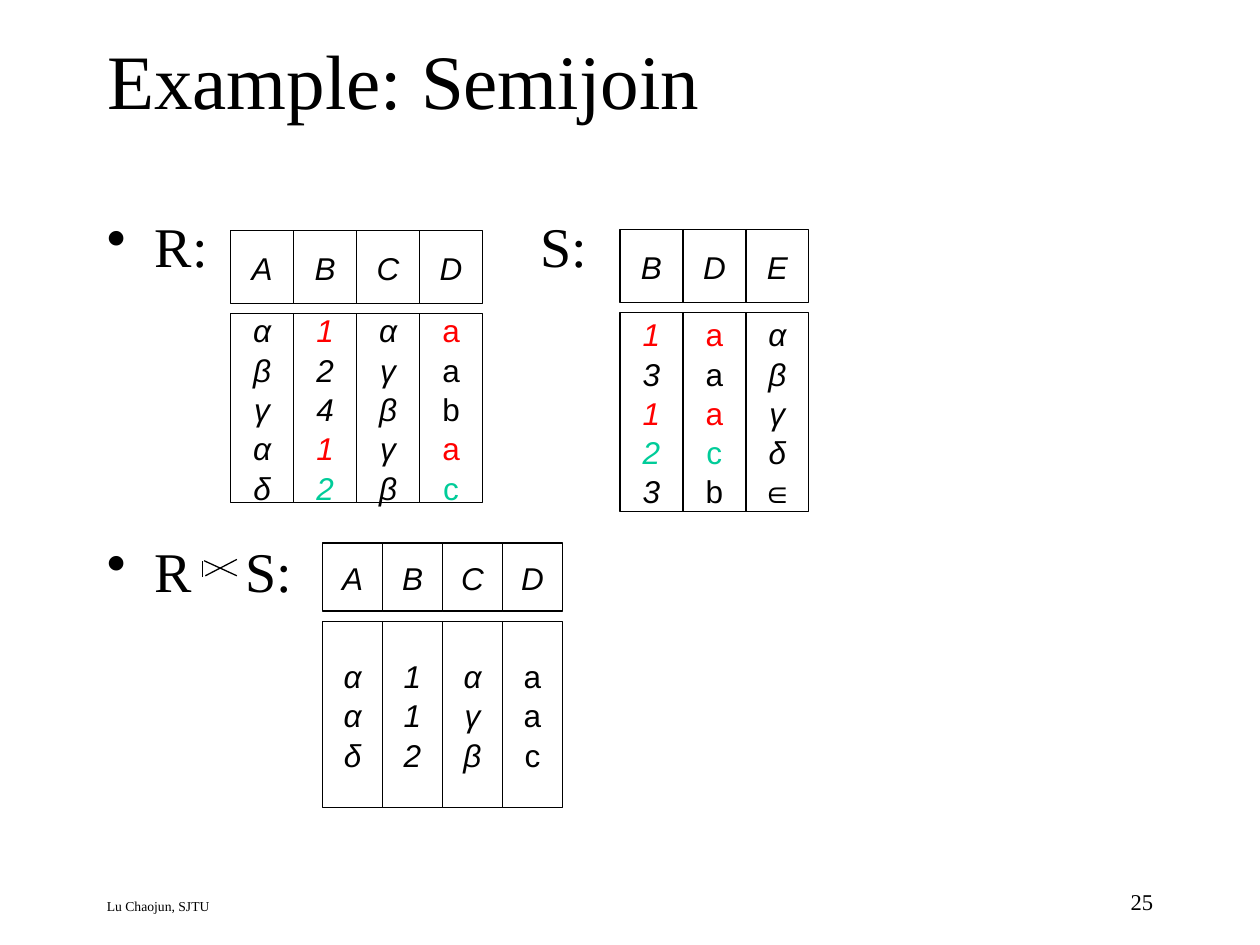
from lxml.etree import SubElement
from pptx import Presentation
from pptx.dml.color import RGBColor
from pptx.enum.shapes import MSO_CONNECTOR as Connector, MSO_SHAPE as Shape
from pptx.enum.text import MSO_ANCHOR as Anchor, MSO_AUTO_SIZE as AutoSize, PP_ALIGN as Align
from pptx.oxml.ns import qn
from pptx.util import Inches, Pt

BLACK = RGBColor(0x00, 0x00, 0x00)
WHITE = RGBColor(0xFF, 0xFF, 0xFF)
RED = RGBColor(0xFF, 0x00, 0x00)
GREEN = RGBColor(0x00, 0xCC, 0x99)
SERIF, SANS = "Times New Roman", "Arial"

TITLE = "Example: Semijoin"
LABELS = [
    ("R:", 0.75, 1.63, True),
    ("S:", 4.19, 1.63, False),
    ("R", 0.75, 4.21, True),
    ("S:", 1.85, 4.21, False),
]
FOOTERS = [
    ("Lu Chaojun, SJTU", (0.75, 7.08, 5.8, 0.25), 7.8, Align.LEFT),
    ("25", (7.17, 7.0, 2.08, 0.33), 12.9, Align.RIGHT),
]
JOIN_COLUMNS = "BD"
UPRIGHT_VALUES = "abc"
RELATIONS = [
    {"left": 1.83, "top": 1.83, "width": 0.5, "header": 0.58, "body": 1.5,
     "columns": {"A": "αβγαδ", "B": "12412", "C": "αγβγβ", "D": "aabac"},
     "matches": {0: RED, 3: RED, 4: GREEN}},
    {"left": 4.92, "top": 1.82, "width": 0.5, "header": 0.58, "body": 1.58,
     "columns": {"B": "13123", "D": "aaacb", "E": "αβγδ∈"},
     "matches": {0: RED, 2: RED, 3: GREEN}},
    {"left": 2.56, "top": 4.31, "width": 0.476, "header": 0.54, "body": 1.48,
     "columns": {"A": "ααδ", "B": "112", "C": "αγβ", "D": "aac"},
     "matches": {}},
]
HEADER_GAP = 0.08
SEMIJOIN_LINES = [
    (1.62, 4.45, 1.88, 4.57),
    (1.63, 4.57, 1.88, 4.44),
    (1.61, 4.58, 1.61, 4.45),
]


def write(paragraph, text, size, font=SERIF, color=BLACK, italic=False, align=Align.LEFT):
    paragraph.alignment = align
    run = paragraph.add_run()
    run.text = text
    run.font.name = font
    run.font.size = Pt(size)
    run.font.italic = italic
    run.font.color.rgb = color


def add_text(slide, text, box, size, align=Align.LEFT):
    frame = slide.shapes.add_textbox(*map(Inches, box)).text_frame
    frame.word_wrap = True
    paragraph = frame.paragraphs[0]
    write(paragraph, text, size, align=align)
    return paragraph


def add_bullet(paragraph):
    properties = paragraph._p.get_or_add_pPr()
    properties.set("marL", str(Inches(0.38)))
    properties.set("indent", str(-Inches(0.38)))
    SubElement(properties, qn("a:buChar")).set("char", "•")


def add_cell(slide, box, values, colors):
    cell = slide.shapes.add_shape(Shape.RECTANGLE, *map(Inches, box))
    cell.shadow.inherit = False
    cell.fill.solid()
    cell.fill.fore_color.rgb = WHITE
    cell.line.color.rgb = BLACK
    cell.line.width = Pt(0.75)
    frame = cell.text_frame
    frame.word_wrap = False
    frame.vertical_anchor = Anchor.MIDDLE
    for row, value in enumerate(values):
        paragraph = frame.add_paragraph() if row else frame.paragraphs[0]
        paragraph.line_spacing = 1.04
        write(paragraph, value, 18, font=SANS, color=colors.get(row, BLACK),
              italic=value not in UPRIGHT_VALUES, align=Align.CENTER)


def add_relation(slide, relation):
    top, width = relation["top"], relation["width"]
    body_top = top + relation["header"] + HEADER_GAP
    for index, (name, values) in enumerate(relation["columns"].items()):
        left = relation["left"] + index * width
        colors = relation["matches"] if name in JOIN_COLUMNS else {}
        add_cell(slide, (left, top, width, relation["header"]), name, {})
        add_cell(slide, (left, body_top, width, relation["body"]), values, colors)


def main():
    presentation = Presentation()
    presentation.slide_width, presentation.slide_height = Inches(10), Inches(7.5)
    slide = presentation.slides.add_slide(presentation.slide_layouts[5])

    title = slide.shapes.title
    title.left, title.top, title.width, title.height = map(Inches, (0.75, 0, 8.5, 1.25))
    title.text_frame.auto_size = AutoSize.NONE
    title.text_frame.vertical_anchor = Anchor.MIDDLE
    write(title.text_frame.paragraphs[0], TITLE, 44)

    for text, box, size, align in FOOTERS:
        add_text(slide, text, box, size, align)
    for text, left, top, bulleted in LABELS:
        paragraph = add_text(slide, text, (left, top, 1.08, 0.62), 32)
        if bulleted:
            add_bullet(paragraph)
    for relation in RELATIONS:
        add_relation(slide, relation)
    for ends in SEMIJOIN_LINES:
        line = slide.shapes.add_connector(Connector.STRAIGHT, *map(Inches, ends))
        line.line.color.rgb = BLACK
        line.line.width = Pt(0.75)
        SubElement(line._element.spPr, qn("a:effectLst"))

    presentation.save("out.pptx")


if __name__ == "__main__":
    main()
